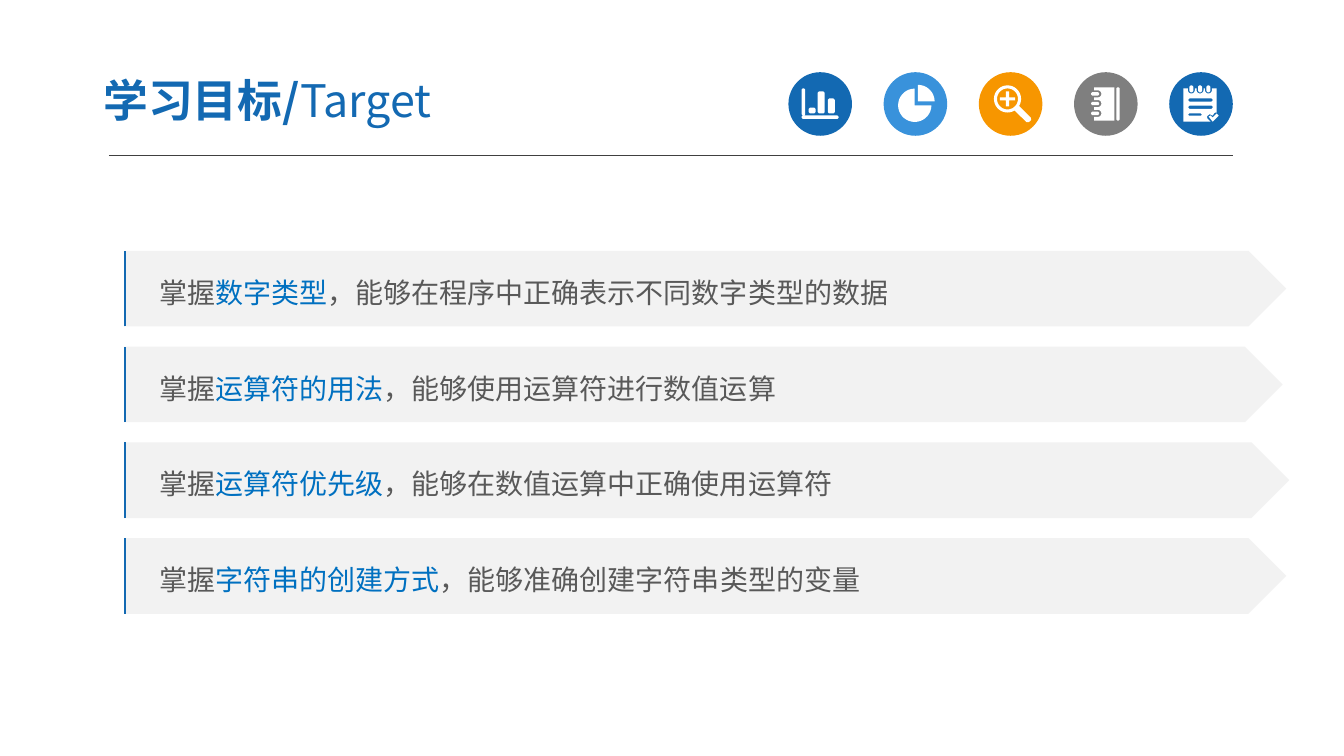
from math import cos, radians, sin

from lxml import etree
from pptx import Presentation
from pptx.dml.color import RGBColor
from pptx.enum.shapes import MSO_CONNECTOR, MSO_SHAPE as S
from pptx.enum.text import MSO_ANCHOR, MSO_AUTO_SIZE, PP_ALIGN
from pptx.oxml.ns import qn
from pptx.util import Pt

FONT = "Noto Sans CJK SC"
BLUE, SKY, ORANGE, GRAY, WHITE = "1369B2", "3992DB", "F79600", "7F7F7F", "FFFFFF"
DARK, ACCENT = "595959", "0070C0"


def paint(part, color):
    part.solid()
    part.fore_color.rgb = RGBColor.from_string(color)


def arc(cx, cy, radius, start, end):
    return [(cx + radius * cos(radians(a)), cy + radius * sin(radians(a)))
            for a in range(start, end + 1, 10)]


prs = Presentation()
prs.slide_width, prs.slide_height = Pt(960), Pt(540)
s = prs.slides.add_slide(prs.slide_layouts[5])

title = s.shapes.title
title.left, title.top, title.width, title.height = Pt(64.4), Pt(45.4), Pt(375.8), Pt(51.8)
tf = title.text_frame
tf.auto_size = MSO_AUTO_SIZE.NONE
tf.vertical_anchor = MSO_ANCHOR.MIDDLE
tf.margin_left = tf.margin_right = Pt(9.4)
tf.margin_top = tf.margin_bottom = Pt(5)
p = tf.paragraphs[0]
p.alignment = PP_ALIGN.LEFT
p.space_before = Pt(0)
texts = [(p, "学习目标/", 32, BLUE, True), (p, "Target", 32, BLUE, False)]

bars = [(9.4, 11.5, 2.6, 19.4), (9.4, 30.9, 26.4, 2.4), (14.4, 25.2, 5, 4.3),
        (20.9, 13.7, 5, 15.8), (28.1, 18.7, 5, 10.8)]
pie = [arc(22.2, 23.6, 11.9, 0, 270) + [(22.2, 23.6)],
       arc(24.5, 20.9, 11.9, 270, 360) + [(24.5, 20.9)]]
plus = [(19.4, 13.7), (21.6, 13.7), (21.6, 18), (25.9, 18), (25.9, 20.2), (21.6, 20.2),
        (21.6, 24.5), (19.4, 24.5), (19.4, 20.2), (15.1, 20.2), (15.1, 18), (19.4, 18)]
handle = [(28.9, 24.3), (37.2, 32.6), (37.4, 34.2), (35.8, 35.6), (34, 35.6), (25.7, 27.5)]
lens = [arc(20.5, 19.1, 9.7, 0, 350), arc(20.5, 19.1, 7.5, 0, 350), plus, handle]

cover = [(28.8, 34.6), (28.8, 10.8), (14.4, 10.8)]
rings = [(30.2, 10.8, 2.4, 23.8)]
for y in (15.5, 22.4, 29.4):
    cover += [(14.4, y - 2.5), *arc(17, y, 2.5, -90, 90), (14.4, y + 2.5)]
    rings.append((12.2, y - 1.2, 5.8, 2.4))
cover.append((14.4, 34.6))

page = [(10.1, 35.3), (10.1, 11.5)]
page_parts = [(13.7, 18.7, 17.3, 2.4), (13.7, 23.8, 17.3, 2.4), (13.7, 29.5, 9.4, 1.6)]
for x in (15.8, 22, 28):
    page += [(x - 2.5, 11.5), *arc(x, 12.7, 2.5, 0, 180)[::-1], (x + 2.5, 11.5)]
    page_parts.append((x - 1.4, 9.4, 2.8, 5))
page += [(33.9, 11.5), (33.9, 28.8), (32.4, 29), (31, 31), (28.8, 30),
         (27, 31.5), (27.2, 33), (29.5, 35.3)]
check = [(28.1, 31.7), (29.5, 30.9), (31, 32.4), (33.8, 29.5), (35.3, 31), (31, 35.3)]

icons = [(BLUE, bars, []), (SKY, [], pie), (ORANGE, [], lens),
         (GRAY, rings, [cover]), (BLUE, page_parts, [page, check])]
drawings = []
for i, (color, boxes, outlines) in enumerate(icons):
    left, top = 563.2 + 68 * i, 51.6
    disc = s.shapes.add_shape(S.OVAL, Pt(left), Pt(top), Pt(45.4), Pt(45.4))
    disc.shadow.inherit = False
    disc.line.fill.background()
    paint(disc.fill, color)
    contours = list(outlines)
    for x, y, w, h in boxes:
        c = min(w, h, 3) / 3
        contours.append([(x + c, y), (x + w - c, y), (x + w, y + c), (x + w, y + h - c),
                         (x + w - c, y + h), (x + c, y + h), (x, y + h - c), (x, y + c)])
    drawings.append(([[(left + x, top + y) for x, y in c] for c in contours], True))

goals = [
    (830.2, "数字类型", "，能够在程序中正确表示不同数字类型的数据"),
    (827.6, "运算符的用法", "，能够使用运算符进行数值运算"),
    (832.3, "运算符优先级", "，能够在数值运算中正确使用运算符"),
    (830.2, "字符串的创建方式", "，能够准确创建字符串类型的变量"),
]
for i, (width, topic, rest) in enumerate(goals):
    top = 179.2 + 68.4 * i
    sp = s.shapes.add_shape(S.PENTAGON, Pt(88.6), Pt(top), Pt(width), Pt(54))
    sp.shadow.inherit = False
    sp.line.fill.background()
    paint(sp.fill, "F2F2F2")
    tf = sp.text_frame
    tf.word_wrap = True
    tf.vertical_anchor = MSO_ANCHOR.MIDDLE
    tf.margin_left = Pt(25)
    p = tf.paragraphs[0]
    p.alignment = PP_ALIGN.LEFT
    p.line_spacing = 1.2
    for text, color in (("掌握", DARK), (topic, ACCENT), (rest, DARK)):
        texts.append((p, text, 20, color, False))
    drawings.append(([[(89.3, top + 54), (89.3, top)]], False))

for contours, filled in drawings:
    builder = None
    for contour in contours:
        points = [(Pt(x), Pt(y)) for x, y in contour]
        if builder is None:
            builder = s.shapes.build_freeform(*points[0])
        else:
            builder.move_to(*points[0])
        builder.add_line_segments(points[1:], close=filled)
    sp = builder.convert_to_shape()
    sp.shadow.inherit = False
    if filled:
        paint(sp.fill, WHITE)
        sp.line.fill.background()
    else:
        sp.fill.background()
        sp.line.width = Pt(1.5)
        paint(sp.line.fill, BLUE)

for p, text, size, color, bold in texts:
    r = p.add_run()
    r.text = text
    r.font.size, r.font.bold, r.font.name = Pt(size), bold, FONT
    paint(r.font.fill, color)
    etree.SubElement(r.font._element, qn("a:ea"), typeface=FONT)

line = s.shapes.add_connector(MSO_CONNECTOR.STRAIGHT, Pt(77.8), Pt(111.2), Pt(880.6), Pt(111.2))
line.line.width = Pt(0.75)
paint(line.line.fill, "404040")
etree.SubElement(line._element.spPr, qn("a:effectLst"))

prs.save("out.pptx")
